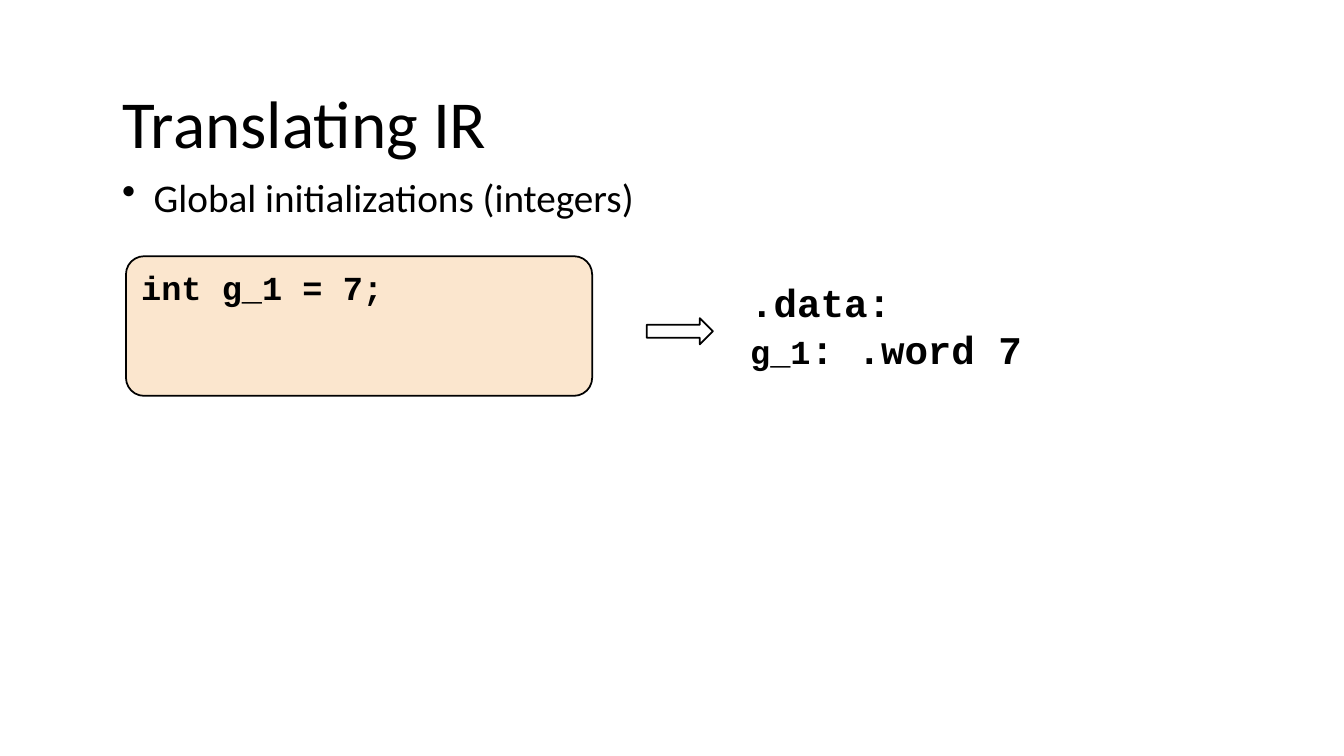
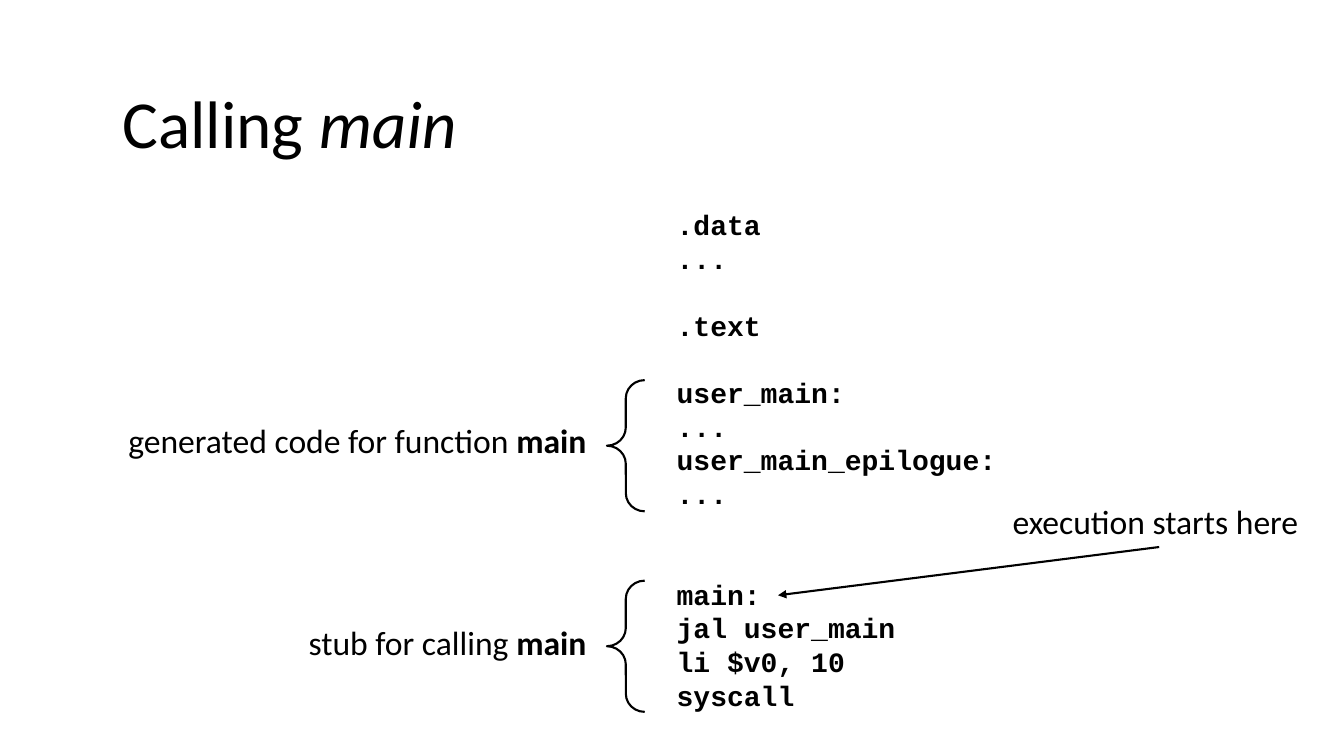
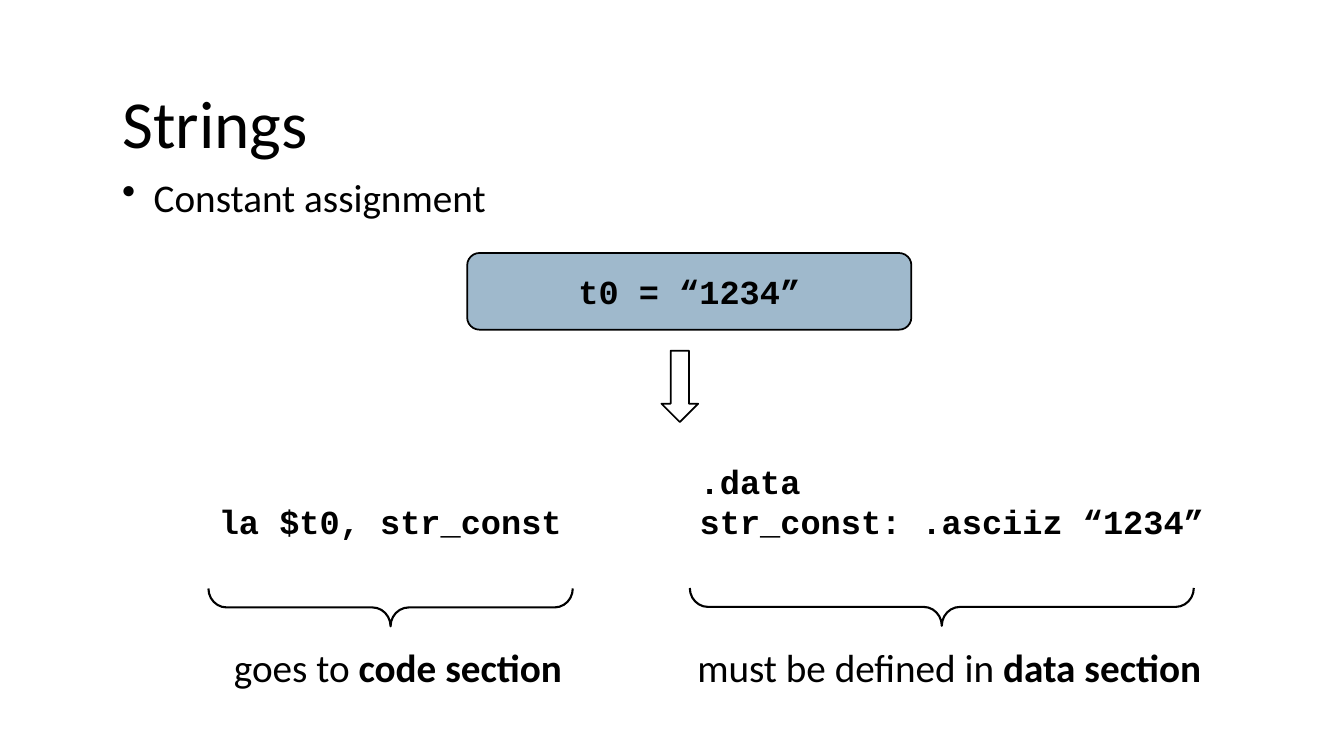
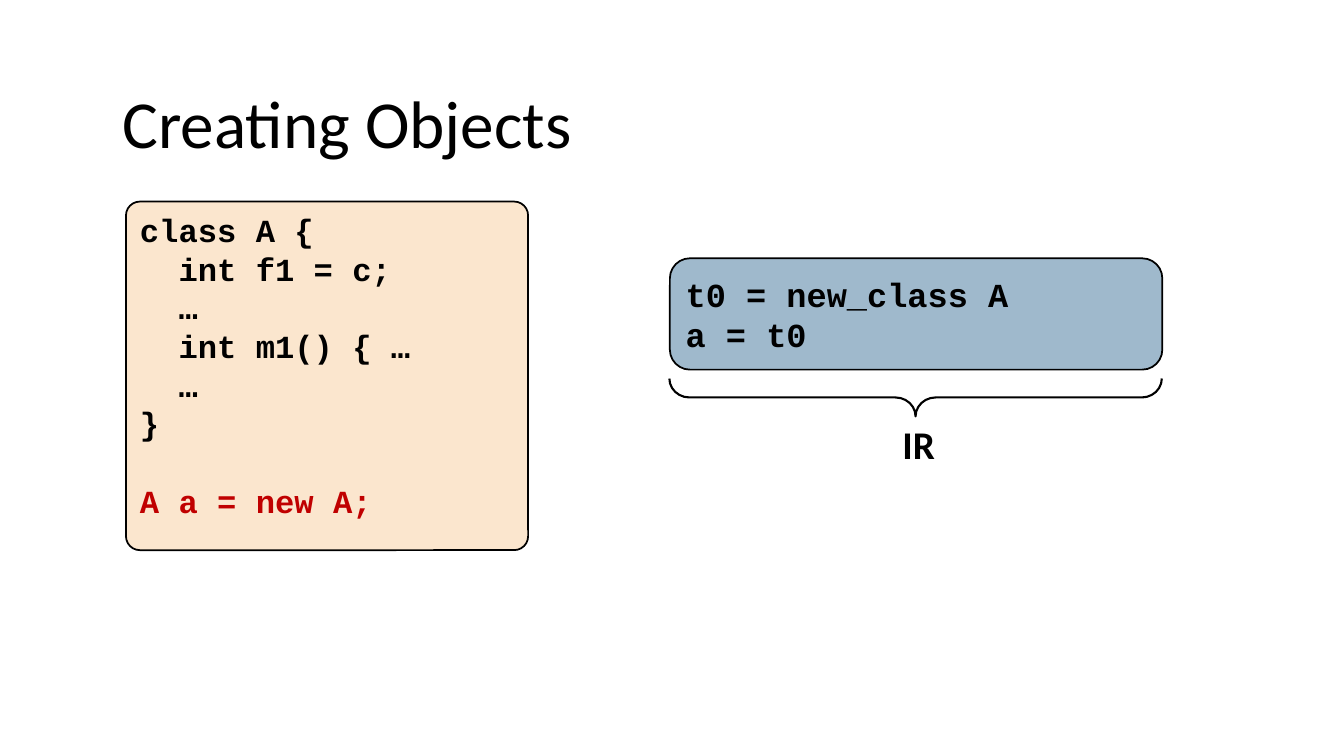
from lxml import etree
from pptx import Presentation
from pptx.dml.color import RGBColor
from pptx.enum.shapes import MSO_CONNECTOR, MSO_SHAPE as SHAPE
from pptx.enum.text import MSO_ANCHOR as ANCHOR, MSO_AUTO_SIZE, PP_ALIGN as ALIGN
from pptx.oxml.ns import qn
from pptx.util import Emu, Pt

PX = 9525  # one px is 1/96 inch
COLORS = {
    "text": "000000",
    "paper": "FFFFFF",
    "source": "FBE6CE",
    "ir": "40749B",
    "accent": "C00000",
}
BODY, CODE = "Calibri", "Courier New"
CODE_LINE = 1.2  # height of a code line in ems
BOLD = {"bold": True}


def px(*lengths):
    return [Emu(n * PX) for n in lengths]


def rgb(name):
    return RGBColor.from_string(COLORS[name])


# Text

def style(font, size=None, name=None, color=None, bold=None, italic=None):
    if size:
        font.size = Pt(size)
    if name:
        font.name = name
    if color:
        font.color.rgb = rgb(color)
    if bold is not None:
        font.bold = bold
    if italic is not None:
        font.italic = italic


def write(tf, lines, size, name=BODY, bold=False, align=ALIGN.LEFT, anchor=ANCHOR.TOP):
    """Each line is a string or a list of (text, style) runs; "" leaves a gap."""
    tf.word_wrap = True
    tf.auto_size = MSO_AUTO_SIZE.NONE
    tf.vertical_anchor = anchor
    p, gap = None, 0
    for line in lines:
        if not line:
            gap += size * CODE_LINE
            continue
        p = tf.add_paragraph() if p is not None else tf.paragraphs[0]
        p.alignment = align
        if gap:
            p.space_before = Pt(gap)
            gap = 0
        style(p.font, size, name, "text", bold)
        for text, look in [(line, {})] if isinstance(line, str) else line:
            r = p.add_run()
            r.text = text
            style(r.font, **look)


def text(s, box, lines, size, **look):
    tf = s.shapes.add_textbox(*px(*box)).text_frame
    write(tf, lines, size, **look)
    return tf


def code(s, box, lines, size, **look):
    text(s, box, lines, size, name=CODE, bold=True, **look)


def bullet(s, line):
    p = text(s, (107, 160, 1082, 55), [line], 28).paragraphs[0]
    pPr = p._p.get_or_add_pPr()
    pPr.set("marL", str(30 * PX))
    pPr.set("indent", str(-30 * PX))
    mark = etree.Element(qn("a:buChar"), char="•")
    pPr.insert(0, mark)


def title_slide(prs, *runs):
    s = prs.slides.add_slide(prs.slide_layouts[5])
    title = s.shapes.title
    title.left, title.top, title.width, title.height = px(107, 73, 1065, 87)
    write(title.text_frame, [list(runs)], 48)
    return s


# Shapes

def shape(s, kind, box, fill=None, width=1.25, adj=()):
    sp = s.shapes.add_shape(kind, *px(*box))
    sp.shadow.inherit = False
    if fill:
        sp.fill.solid()
        sp.fill.fore_color.rgb = rgb(fill)
    else:
        sp.fill.background()
    sp.line.color.rgb = rgb("text")
    sp.line.width = Pt(width)
    for i, value in enumerate(adj):
        sp.adjustments[i] = value
    return sp


def source_box(s, box, lines, size, corner):
    sp = shape(s, SHAPE.ROUNDED_RECTANGLE, box, "source", adj=[corner])
    write(sp.text_frame, lines, size, CODE, True)


def ir_box(s, box, lines, corner, align=ALIGN.LEFT):
    sp = shape(s, SHAPE.ROUNDED_RECTANGLE, box, "ir", adj=[corner])
    color = sp._element.spPr.find(".//" + qn("a:srgbClr"))
    etree.SubElement(color, qn("a:alpha"), val="50000")
    write(sp.text_frame, lines, 24, CODE, True, align, ANCHOR.MIDDLE)


def brace(s, box, bend=0.48):
    return shape(s, SHAPE.LEFT_BRACE, box, width=1.5, adj=[bend, 0.5])


def brace_below(s, left, top, span, bend=0.48):
    """Brace that spans a width and points down."""
    depth = 36
    shift = (span - depth) // 2
    sp = brace(s, (left + shift, top - shift, depth, span), bend)
    sp.rotation = 270


def arrow(s, x1, y1, x2, y2):
    c = s.shapes.add_connector(MSO_CONNECTOR.STRAIGHT, *px(x1, y1, x2, y2))
    c.line.color.rgb = rgb("text")
    c.line.width = Pt(1.5)
    etree.SubElement(c.line._get_or_add_ln(), qn("a:tailEnd"), type="triangle")
    etree.SubElement(c._element.spPr, qn("a:effectLst"))


# Slides

def global_initializations(prs):
    s = title_slide(prs, ("Translating IR", {}))
    bullet(s, "Global initializations (integers)")
    code(s, (705, 214, 463, 192),
         [".data:", [("g_1", {"size": 24}), (": .word 7", {})]],
         28, anchor=ANCHOR.MIDDLE)
    source_box(s, (120, 244, 444, 133), ["int g_1 = 7;"], 24, 0.13)
    shape(s, SHAPE.RIGHT_ARROW, (616, 303, 63, 25), "paper")


def calling_main(prs):
    s = title_slide(prs, ("Calling ", {}), ("main", {"italic": True}))
    code(s, (635, 193, 416, 527), [
        ".data", "...", "",
        ".text", "",
        "user_main:", "...", "user_main_epilogue:", "...", "", "",
        "main:", "jal user_main", "li $v0, 10", "syscall",
    ], 20)
    for label, brace_top, label_top in (
        ("generated code for function ", 362, 395),
        ("stub for calling ", 553, 588),
    ):
        brace(s, (578, brace_top, 36, 125))
        text(s, (65, label_top, 503, 48), [[(label, {}), ("main", BOLD)]],
             24, align=ALIGN.RIGHT)
    text(s, (931, 472, 339, 48), ["execution starts here"], 24, align=ALIGN.CENTER)
    arrow(s, 1104, 521, 741, 567)


def strings(prs):
    s = title_slide(prs, ("Strings", {}))
    bullet(s, "Constant assignment")
    ir_box(s, (445, 241, 423, 73), ["t0 = “1234”"], 0.16, ALIGN.CENTER)
    shape(s, SHAPE.DOWN_ARROW, (630, 334, 35, 68), "paper")
    code(s, (199, 472, 506, 48), ["la $t0, str_const"], 24)
    code(s, (657, 434, 506, 87), [".data", "str_const: .asciiz “1234”"], 24)
    for left, span, label_left, label, section in (
        (199, 347, 119, "goes to ", "code section"),
        (657, 480, 644, "must be defined in ", "data section"),
    ):
        brace_below(s, left, 560, span)
        text(s, (label_left, 608, 520, 55), [[(label, {}), (section, BOLD)]],
             28, align=ALIGN.CENTER)


def creating_objects(prs):
    s = title_slide(prs, ("Creating Objects", {}))
    source_box(s, (120, 192, 383, 332), [
        "class A {",
        "  int f1 = c;",
        "  …",
        "  int m1() { …",
        "  …",
        "}",
        "",
        [("A a = new A;", {"color": "accent"})],
    ], 23, 0.04)
    ir_box(s, (638, 246, 469, 106), ["t0 = new_class A", "a = t0"], 0.18)
    brace_below(s, 638, 360, 469, 0.53)
    text(s, (850, 396, 70, 55), ["IR"], 28, bold=True)


def main():
    prs = Presentation()
    prs.slide_width, prs.slide_height = px(1280, 720)
    for build in (global_initializations, calling_main, strings, creating_objects):
        build(prs)
    prs.save("out.pptx")


if __name__ == "__main__":
    main()
